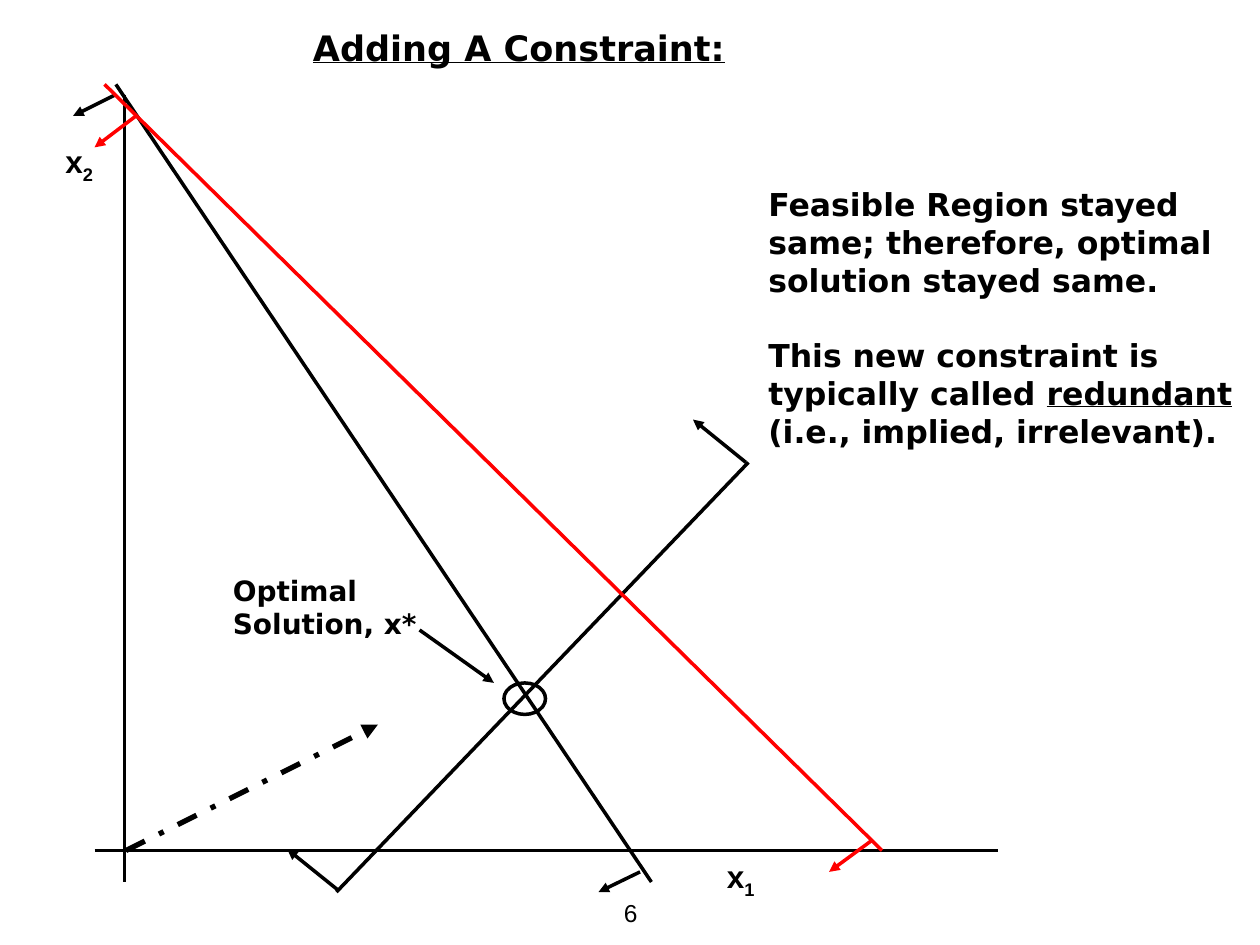
import pptx
import pptx.util
import pptx.dml.color
import pptx.enum.dml
import pptx.enum.shapes
import pptx.enum.text
import pptx.oxml.ns
from lxml import etree

Inches = pptx.util.Inches
COLORS = {"ink": "000000", "new": "FF0000"}
HEADING_FONT = "DejaVu Sans"
LABEL_FONT = "Arial"


def color(name):
    return pptx.dml.color.RGBColor.from_string(COLORS[name])


def add_text(slide, box, paragraphs, size, font=HEADING_FONT, bold=True,
             centered=False, gap=0, right_inset=0.1):
    shape = slide.shapes.add_textbox(*[Inches(value) for value in box])
    frame = shape.text_frame
    frame.word_wrap = True
    frame.margin_right = Inches(right_inset)
    for index, runs in enumerate(paragraphs):
        paragraph = frame.add_paragraph() if index else frame.paragraphs[0]
        if index:
            paragraph.space_before = pptx.util.Pt(gap)
        if centered:
            paragraph.alignment = pptx.enum.text.PP_ALIGN.CENTER
        for text, style in runs:
            for line_index, line in enumerate(text.split("\n")):
                if line_index:
                    paragraph.add_line_break()
                run = paragraph.add_run()
                run.text = line
                run.font.name = font
                run.font.size = pptx.util.Pt(size)
                run.font.bold = bold
                run.font.color.rgb = color("ink")
                if style == "underline":
                    run.font.underline = True
                if style == "subscript":
                    run._r.get_or_add_rPr().set("baseline", "-25000")
    return shape


def add_line(slide, origin, start, end, name="ink", width=2, arrow=False, dash=None):
    left, top = origin
    connector = slide.shapes.add_connector(
        pptx.enum.shapes.MSO_CONNECTOR.STRAIGHT,
        Inches(left + start[0]), Inches(top + start[1]),
        Inches(left + end[0]), Inches(top + end[1]))
    connector.line.color.rgb = color(name)
    connector.line.width = pptx.util.Pt(width)
    if dash:
        connector.line.dash_style = dash
    if arrow:
        tail = etree.SubElement(connector.line._get_or_add_ln(), pptx.oxml.ns.qn("a:tailEnd"))
        tail.set("type", "triangle")
    etree.SubElement(connector._element.spPr, pptx.oxml.ns.qn("a:effectLst"))
    return connector


def add_constraint(slide, origin, boundary, arrows, name="ink"):
    add_line(slide, origin, *boundary, name=name)
    for start, end in arrows:
        add_line(slide, origin, start, end, name=name, arrow=True)


def add_axes(slide, origin):
    left, top = origin
    add_line(slide, origin, (0.57, 0.08), (0.57, 6.33))
    add_line(slide, origin, (0.33, 6.08), (7.5, 6.08))
    for number, x, y, width in (("2", 0, 0.41, 0.5), ("1", 5.25, 6.08, 0.67)):
        add_text(slide, (left + x, top + y, width, 0.4),
                 [[("x", None), (number, "subscript")]], 18, font=LABEL_FONT)


def add_optimum(slide, origin):
    left, top = origin
    marker = slide.shapes.add_shape(
        pptx.enum.shapes.MSO_SHAPE.OVAL,
        Inches(left + 3.58), Inches(top + 4.75), Inches(0.33), Inches(0.25))
    marker.shadow.inherit = False
    marker.fill.background()
    marker.line.color.rgb = color("ink")
    marker.line.width = pptx.util.Pt(2)
    add_line(slide, origin, (2.91, 4.33), (3.5, 4.75), arrow=True)
    add_text(slide, (left + 1.33, top + 3.83, 2.25, 0.64),
             [[("Optimal\nSolution, x*", None)]], 16)


def add_graph(slide, origin):
    add_axes(slide, origin)
    add_constraint(slide, origin, ((0.5, 0), (4.75, 6.33)),
                   [((4.66, 6.25), (4.33, 6.41)), ((0.5, 0.08), (0.16, 0.25))])
    add_constraint(slide, origin, ((2.25, 6.41), (5.52, 3)),
                   [((5.5, 3), (5.08, 2.66)), ((2.27, 6.4), (1.86, 6.07))])
    add_line(slide, origin, (0.58, 6.08), (2.58, 5.08), width=3, arrow=True,
             dash=pptx.enum.dml.MSO_LINE.DASH_DOT)
    add_optimum(slide, origin)
    add_constraint(slide, origin, ((6.58, 6.08), (0.41, 0)),
                   [((0.66, 0.25), (0.33, 0.5)), ((6.5, 6), (6.16, 6.25))], name="new")


def add_title(slide, box):
    add_text(slide, box, [[("Adding A Constraint:", "underline")]], 20,
             centered=True, right_inset=1.83)


def add_explanation(slide, box):
    add_text(slide, box, [
        [("Feasible Region stayed same; therefore, optimal solution stayed same.", None)],
        [("This new constraint is typically called ", None),
         ("redundant", "underline"),
         (" (i.e., implied, irrelevant).", None)],
    ], 18, gap=21.5)


def add_page_number(slide, box):
    add_text(slide, box, [[("6", None)]], 14, font=LABEL_FONT, bold=False, centered=True)


def main():
    presentation = pptx.Presentation()
    presentation.slide_width = Inches(10)
    presentation.slide_height = Inches(7.5)
    slide = presentation.slides.add_slide(presentation.slide_layouts[6])
    add_page_number(slide, (3.42, 7.08, 3.17, 0.27))
    add_graph(slide, (0.42, 0.67))
    add_title(slide, (0.15, 0.16, 9.67, 0.43))
    add_explanation(slide, (6, 1.42, 4, 2.2))
    presentation.save("out.pptx")


if __name__ == "__main__":
    main()
